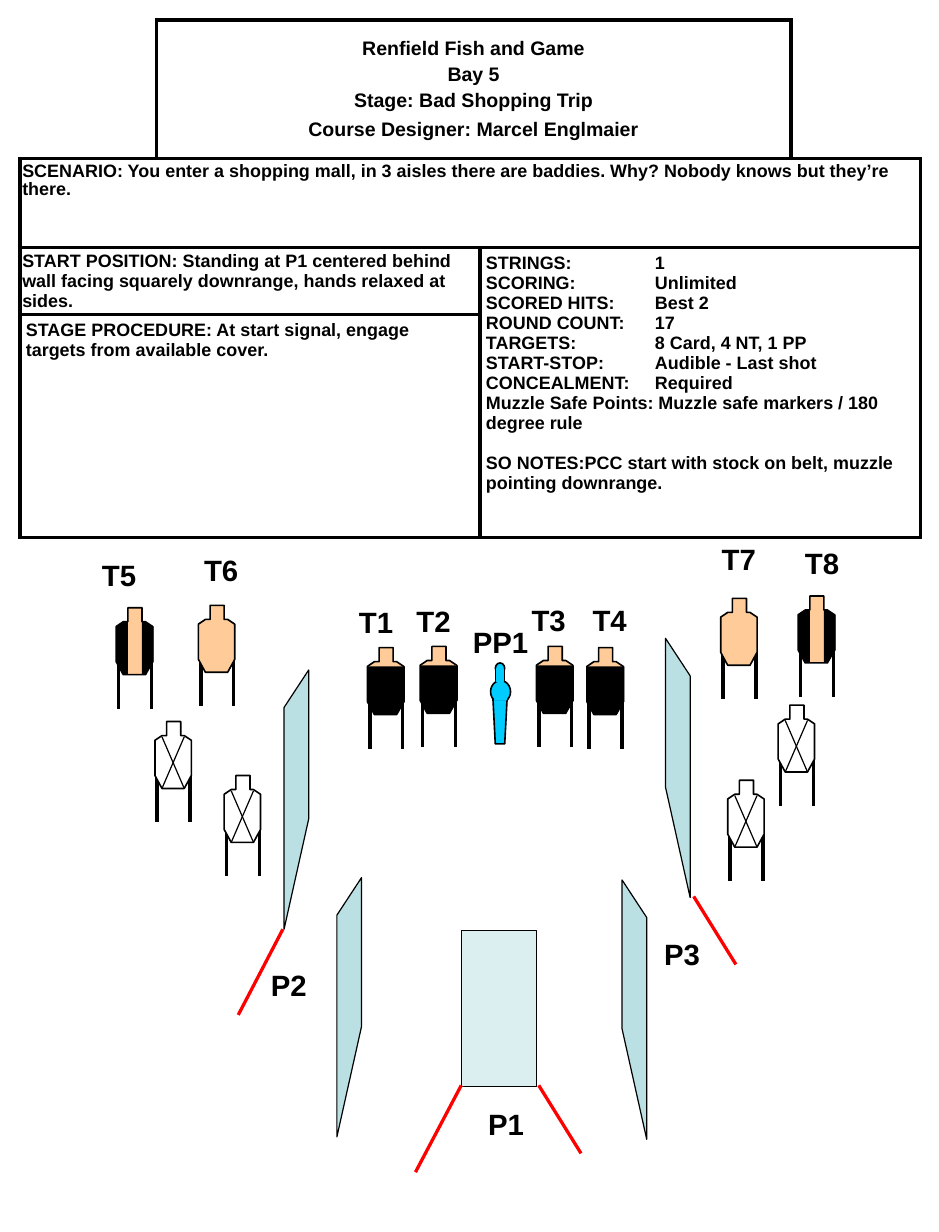
"""Build a one-page stage briefing with a course-of-fire diagram."""
from dataclasses import dataclass

from lxml import etree
from pptx import Presentation
from pptx import util as u
from pptx.dml.color import RGBColor
from pptx.enum import shapes, text
from pptx.oxml.ns import qn


@dataclass(frozen=True)
class Theme:
    font: str = "Arial"
    ink: str = "000000"
    paper: str = "FFFFFF"
    tan: str = "FFCC99"
    popper: str = "00CCFF"
    wall: str = "BBE0E3"
    sight: str = "FF0000"
    title: float = 12
    body: float = 11
    label: float = 18
    border: float = 2.25
    outline: float = 1
    thin: float = 0.75


THEME = Theme()
COLUMNS = (1.16, 2.76, 2.65, 1.1)
ROWS = (1.18, 0.76, 0.49, 1.9)
HEADING = [
    "Renfield Fish and Game",
    "Bay 5",
    "Stage: Bad Shopping Trip",
    "Course Designer: Marcel Englmaier",
]
SCENARIO = ["SCENARIO: You enter a shopping mall, in 3 aisles there are baddies. "
            "Why? Nobody knows but they’re there."]
START = ["START POSITION: Standing at P1 centered behind wall facing squarely "
         "downrange, hands relaxed at sides."]
PROCEDURE = ["STAGE PROCEDURE: At start signal, engage targets from available cover."]
DETAILS = [
    "STRINGS:\t1",
    "SCORING:\tUnlimited",
    "SCORED HITS:\tBest 2",
    "ROUND COUNT:\t17",
    "TARGETS:\t8 Card, 4 NT, 1 PP",
    "START-STOP:\tAudible - Last shot",
    "CONCEALMENT:\tRequired",
    "Muzzle Safe Points: Muzzle safe markers / 180 degree rule",
    "SO NOTES:PCC start with stock on belt, muzzle pointing downrange.",
]
TAB_STOP = 1.44
REGIONS = [
    (0, 0, 1, 1, [], 0.05, 0.05, "RB"),
    (0, 3, 1, 1, [], 0.05, 0.05, "LB"),
    (0, 1, 1, 2, HEADING, 0.05, 0.05, "LRTB"),
    (1, 0, 1, 4, SCENARIO, 0.02, 0.04, "LRTB"),
    (2, 0, 1, 2, START, 0.02, 0.03, "LRTB"),
    (2, 2, 2, 2, DETAILS, 0.05, 0.05, "LRTB"),
    (3, 0, 1, 2, PROCEDURE, 0.05, 0.05, "LRTB"),
]
TARGETS = [
    ("vest", 5, 5.52), ("vest", 4.57, 5.51), ("vest", 3.58, 5.51), ("vest", 3.13, 5.52),
    ("open", 1.69, 5.16), ("no-shoot", 1.91, 6.61), ("open", 6.14, 5.1),
    ("no-shoot", 6.63, 6.01), ("no-shoot", 1.32, 6.15), ("sides", 0.99, 5.18),
    ("no-shoot", 6.2, 6.65), ("sides", 6.8, 5.08),
]
SILHOUETTE = [(0.1, 0), (0.22, 0), (0.22, 0.12), (0.25, 0.12), (0.31, 0.16), (0.31, 0.46),
              (0.25, 0.57), (0.06, 0.57), (0, 0.46), (0, 0.16), (0.06, 0.12), (0.1, 0.12)]
COVERS = {
    "vest": [[(0, 0.16), (0.32, 0.16), (0.32, 0.46), (0.25, 0.57), (0.06, 0.57), (0, 0.46)]],
    "sides": [
        [(0.22, 0.12), (0.22, 0.57), (0.25, 0.57), (0.32, 0.46), (0.32, 0.16), (0.25, 0.12)],
        [(0.1, 0.12), (0.1, 0.57), (0.06, 0.57), (0, 0.46), (0, 0.16), (0.06, 0.12)],
    ],
}
LABELS = [
    ("T1", 2.96, 5.1), ("T2", 3.45, 5.09), ("T3", 4.43, 5.08), ("T4", 4.95, 5.08),
    ("T5", 0.77, 4.7), ("T6", 1.64, 4.66), ("T7", 6.05, 4.56), ("T8", 6.76, 4.6),
    ("PP1", 3.93, 5.27), ("P1", 4.06, 9.38), ("P2", 2.21, 8.19), ("P3", 5.56, 7.93),
]
WALLS = [(2.87, 3.08, 7.48), (5.51, 5.3, 7.5), (2.42, 2.63, 5.71), (5.88, 5.67, 5.44)]
WINDOW = (3.93, 7.93, 0.64, 1.33)
SIGHT_LINES = [(4.95, 9.83, 4.59, 9.25), (3.93, 9.25, 3.54, 9.99),
               (2.41, 7.92, 2.03, 8.65), (6.27, 8.22, 5.91, 7.64)]
ELLIPSE, RECTANGLE = shapes.MSO_SHAPE.OVAL, shapes.MSO_SHAPE.RECTANGLE
POPPER_BASE = [(4.2, 5.96), (4.32, 5.96), (4.3, 6.34), (4.22, 6.34)]
POPPER_DISCS = [(ELLIPSE, 4.22, 5.65, 0.08, 0.09, THEME.ink),
                (ELLIPSE, 4.18, 5.8, 0.17, 0.19, THEME.ink)]
POPPER_JOINTS = [(RECTANGLE, 4.22, 5.7, 0.08, 0.1, THEME.ink),
                 (RECTANGLE, 4.21, 5.95, 0.11, 0.02, None),
                 (RECTANGLE, 4.23, 5.79, 0.06, 0.02, THEME.popper),
                 (RECTANGLE, 4.23, 5.7, 0.06, 0.01, THEME.popper)]


def rgb(value):
    return RGBColor.from_string(value)


def style_font(paragraph, size):
    font = paragraph.font
    font.name, font.size, font.bold = THEME.font, u.Pt(size), True
    font.color.rgb = rgb(THEME.ink)


def paint(shape, fill, line=THEME.ink, width=THEME.outline):
    shape.shadow.inherit = False
    shape.fill.solid()
    shape.fill.fore_color.rgb = rgb(fill)
    if line is None:
        shape.line.fill.background()
    else:
        shape.line.color.rgb, shape.line.width = rgb(line), u.Pt(width)
    return shape


def add_preset(parent, kind, box, fill, line=THEME.ink, width=THEME.outline):
    return paint(parent.add_shape(kind, *map(u.Inches, box)), fill, line, width)


def add_polygon(parent, points, fill, line=THEME.ink, width=THEME.outline, at=(0, 0)):
    corners = [(u.Inches(at[0] + x), u.Inches(at[1] + y)) for x, y in points]
    builder = parent.build_freeform(*corners[0], scale=1.0)
    builder.add_line_segments(corners[1:], close=True)
    return paint(builder.convert_to_shape(), fill, line, width)


def add_line(parent, ends, color, width):
    connector = parent.add_connector(shapes.MSO_CONNECTOR.STRAIGHT, *map(u.Inches, ends))
    connector.line.color.rgb, connector.line.width = rgb(color), u.Pt(width)
    etree.SubElement(connector._element.spPr, qn("a:effectLst"))


def set_borders(cell, edges):
    properties = cell._tc.get_or_add_tcPr()
    for index, edge in enumerate("LRTB"):
        line = etree.Element(qn(f"a:ln{edge}"), w=str(u.Pt(THEME.border)))
        if edge in edges:
            fill = etree.SubElement(line, qn("a:solidFill"))
            etree.SubElement(fill, qn("a:srgbClr"), val=THEME.ink)
        else:
            etree.SubElement(line, qn("a:noFill"))
        properties.insert(index, line)


def write_cell(cell, lines):
    frame = cell.text_frame
    for index, line in enumerate(lines or [""]):
        paragraph = frame.add_paragraph() if index else frame.paragraphs[0]
        paragraph.text = line
        if lines is HEADING:
            paragraph.alignment = text.PP_ALIGN.CENTER
            if index:
                paragraph.space_before = u.Pt(4.2 if line == HEADING[-1] else 2.4)
        elif lines is SCENARIO:
            paragraph.line_spacing = 0.9
        elif line.startswith("SO NOTES"):
            paragraph.space_before = u.Pt(12.2)
        if "\t" in line:
            tabs = etree.SubElement(paragraph._p.get_or_add_pPr(), qn("a:tabLst"))
            etree.SubElement(tabs, qn("a:tab"), pos=str(u.Inches(TAB_STOP)), algn="l")
        style_font(paragraph, THEME.title if lines is HEADING else THEME.body)


def add_briefing(slide):
    frame = slide.shapes.add_table(len(ROWS), len(COLUMNS), u.Inches(0.17), u.Inches(0.17),
                                   u.Inches(sum(COLUMNS)), u.Inches(sum(ROWS)))
    table = frame.table
    for column, width in zip(table.columns, COLUMNS):
        column.width = u.Inches(width)
    for row, height in zip(table.rows, ROWS):
        row.height = u.Inches(height)
    for top, left, height, width, lines, side, edge, borders in REGIONS:
        origin = table.cell(top, left)
        bottom, right = top + height - 1, left + width - 1
        if height * width > 1:
            origin.merge(table.cell(bottom, right))
        for r in range(top, bottom + 1):
            for c in range(left, right + 1):
                cell = table.cell(r, c)
                cell.fill.solid()
                cell.fill.fore_color.rgb = rgb(THEME.paper)
                outer = {"L": c == left, "R": c == right, "T": r == top, "B": r == bottom}
                set_borders(cell, [e for e in borders if outer[e] or cell is origin
                                   or (r, c) == (top, left)])
        origin.margin_left = origin.margin_right = u.Inches(side)
        origin.margin_top = origin.margin_bottom = u.Inches(edge)
        if lines is HEADING:
            origin.vertical_anchor = text.MSO_ANCHOR.MIDDLE
        write_cell(origin, lines)


def add_target(slide, kind, x, y):
    group = slide.shapes.add_group_shape().shapes
    for leg in (x + 0.02, x + 0.3):
        add_line(group, (leg, y + 0.43, leg, y + 0.86), THEME.ink, THEME.border)
    fill = THEME.paper if kind == "no-shoot" else THEME.tan
    add_polygon(group, SILHOUETTE, fill, at=(x, y))
    for cover in COVERS.get(kind, []):
        add_polygon(group, cover, THEME.ink, None, at=(x, y))
    if kind == "no-shoot":
        for start, end in ((0.25, 0.06), (0.06, 0.25)):
            add_line(group, (x + start, y + 0.13, x + end, y + 0.57), THEME.ink, THEME.thin)


def add_popper(slide):
    group = slide.shapes.add_group_shape().shapes
    for kind, *box, line in POPPER_DISCS:
        add_preset(group, kind, box, THEME.popper, line)
    add_polygon(group, POPPER_BASE, THEME.popper)
    for kind, *box, line in POPPER_JOINTS:
        add_preset(group, kind, box, THEME.popper, line)


def add_label(slide, caption, x, y):
    width = 0.73 if len(caption) > 2 else 0.58
    frame = slide.shapes.add_textbox(*map(u.Inches, (x, y, width, 0.4))).text_frame
    frame.word_wrap = True
    frame.text = caption
    style_font(frame.paragraphs[0], THEME.label)


def main():
    presentation = Presentation()
    presentation.slide_width, presentation.slide_height = u.Inches(8), u.Inches(10.5)
    slide = presentation.slides.add_slide(presentation.slide_layouts[6])
    add_briefing(slide)
    for target in TARGETS:
        add_target(slide, *target)
    add_popper(slide)
    window = add_preset(slide.shapes, RECTANGLE, WINDOW, THEME.wall, width=THEME.thin)
    color = window._element.spPr.find(qn("a:solidFill"))[0]
    etree.SubElement(color, qn("a:alpha"), val="50000")
    for tall, short, y in WALLS:
        points = [(short, y + 1.27), (tall, y + 2.21), (tall, y + 0.32), (short, y)]
        add_polygon(slide.shapes, points, THEME.wall, width=THEME.thin)
    for ends in SIGHT_LINES:
        add_line(slide.shapes, ends, THEME.sight, 2)
    for label in LABELS:
        add_label(slide, *label)
    presentation.save("out.pptx")


if __name__ == "__main__":
    main()
